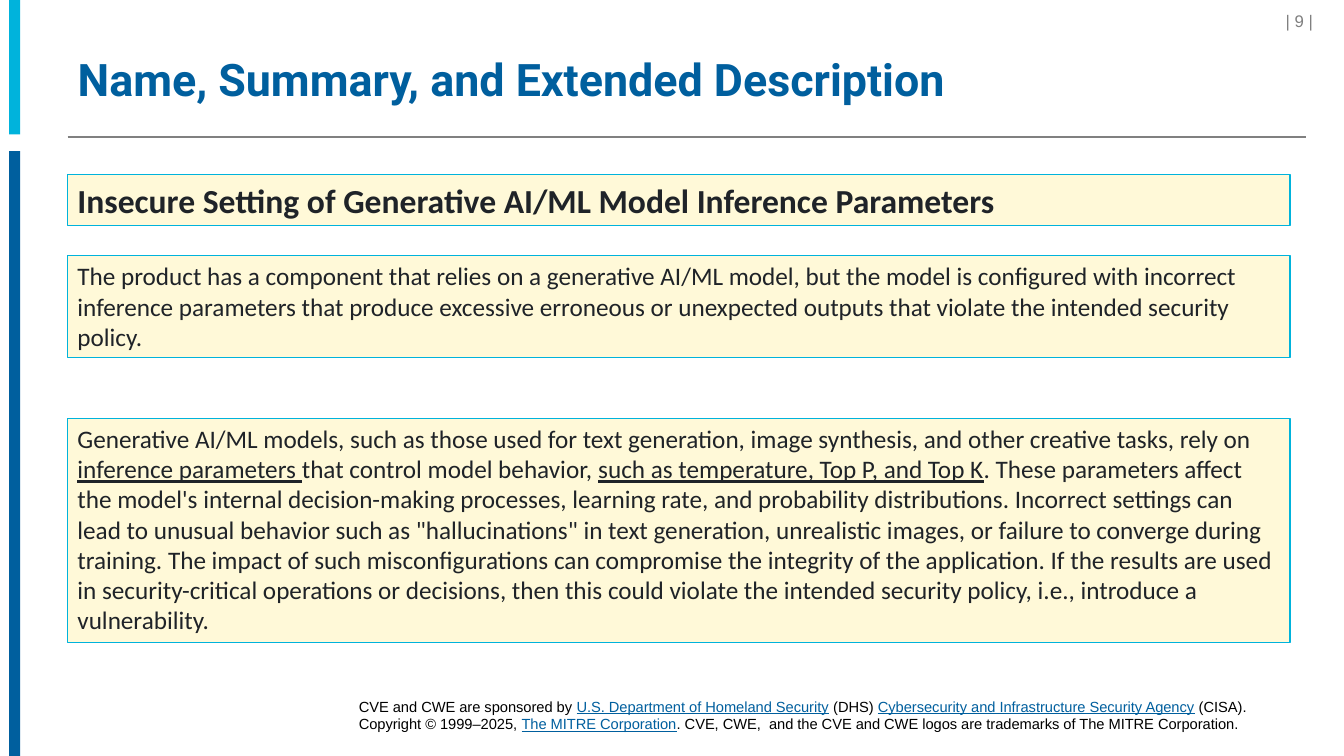
from pptx import Presentation
from pptx.dml.color import RGBColor
from pptx.enum.shapes import MSO_CONNECTOR, MSO_SHAPE
from pptx.enum.text import MSO_ANCHOR, PP_ALIGN
from pptx.oxml.ns import qn
from pptx.util import Pt
from lxml.etree import SubElement


def color(code):
    return RGBColor.from_string(code)


class Page:
    blue = "005F9E"
    cyan = "00B3DC"
    cream = "FFF9D8"
    gray = "808080"
    ink = "1F2328"
    black = "000000"
    left = 48.25

    def __init__(self, deck):
        self.slide = deck.slides.add_slide(deck.slide_layouts[5])
        self.shapes = self.slide.shapes

    def style(self, para, size, face, tint, bold=False):
        font = para.font
        font.size = Pt(size)
        font.name = face
        font.bold = bold
        font.color.rgb = color(tint)

    def fill(self, para, parts, link=None):
        for index, words in enumerate(parts):
            run = para.add_run()
            run.text = words
            if index % 2:
                run.font.underline = True
                if link:
                    run.font.color.rgb = color(link)

    def rect(self, x, y, w, h, tint, edge=None):
        shape = self.shapes.add_shape(MSO_SHAPE.RECTANGLE, Pt(x), Pt(y), Pt(w), Pt(h))
        shape.shadow.inherit = False
        shape.fill.solid()
        shape.fill.fore_color.rgb = color(tint)
        if edge:
            shape.line.color.rgb = color(edge)
            shape.line.width = Pt(0.75)
        else:
            shape.line.fill.background()
        return shape

    def rule(self, x, y, end):
        line = self.shapes.add_connector(MSO_CONNECTOR.STRAIGHT, Pt(x), Pt(y), Pt(end), Pt(y))
        line.line.color.rgb = color(self.gray)
        line.line.width = Pt(1)
        SubElement(line._element.spPr, qn("a:effectLst"))

    def title(self, words):
        title = self.shapes.title
        title.left, title.top = Pt(self.left), Pt(28.8)
        title.width, title.height = Pt(885), Pt(59)
        frame = title.text_frame
        frame.text = words
        frame.word_wrap = True
        frame.vertical_anchor = MSO_ANCHOR.MIDDLE
        para = frame.paragraphs[0]
        para.alignment = PP_ALIGN.LEFT
        para.line_spacing = 0.9
        self.style(para, 32, "Roboto", self.blue, True)

    def panel(self, y, h, parts, size=18, bold=False):
        shape = self.rect(self.left, y, 873.25, h, self.cream, self.cyan)
        frame = shape.text_frame
        frame.word_wrap = True
        frame.vertical_anchor = MSO_ANCHOR.TOP
        para = frame.paragraphs[0]
        para.alignment = PP_ALIGN.LEFT
        self.style(para, size, "Calibri", self.ink, bold)
        self.fill(para, parts)

    def label(self, x, y, w, h, parts, size, tint, align=PP_ALIGN.LEFT, inset=7.2):
        box = self.shapes.add_textbox(Pt(x), Pt(y), Pt(w), Pt(h))
        frame = box.text_frame
        frame.word_wrap = True
        frame.margin_left = frame.margin_right = Pt(inset)
        frame.margin_top = frame.margin_bottom = Pt(3.6)
        para = frame.paragraphs[0]
        para.alignment = align
        self.style(para, size, "Arial", tint)
        self.fill(para, parts, self.blue)


def main():
    deck = Presentation()
    deck.slide_width, deck.slide_height = Pt(960), Pt(540)
    page = Page(deck)

    page.rect(6.5, 0, 8, 96, page.cyan)
    page.rect(6.5, 108, 8, 432, page.blue)
    page.rule(page.left, 98, 933.25)
    page.title("Name, Summary, and Extended Description")
    page.label(809.25, 4.3, 139, 20, ["| 9 | "], 12, page.gray, PP_ALIGN.RIGHT)

    page.panel(124.8, 36.25, [
        "Insecure Setting of Generative AI/ML Model Inference Parameters",
    ], 24, True)
    page.panel(182.6, 72.7, [
        "The product has a component that relies on a generative AI/ML model, "
        "but the model is configured with incorrect inference parameters that "
        "produce excessive erroneous or unexpected outputs that violate the "
        "intended security policy.",
    ])
    page.panel(298.8, 160, [
        "Generative AI/ML models, such as those used for text generation, image "
        "synthesis, and other creative tasks, rely on ",
        "inference parameters ",
        "that control model behavior, ",
        "such as temperature, Top P, and Top K",
        ". These parameters affect the model's internal decision-making processes, "
        "learning rate, and probability distributions. Incorrect settings can lead "
        "to unusual behavior such as \"hallucinations\" in text generation, "
        "unrealistic images, or failure to converge during training. The impact of "
        "such misconfigurations can compromise the integrity of the application. "
        "If the results are used in security-critical operations or decisions, then "
        "this could violate the intended security policy, i.e., introduce a "
        "vulnerability.",
    ])

    page.label(252.75, 494.6, 687, 32.4, [
        "CVE and CWE are sponsored by ",
        "U.S. Department of Homeland Security",
        " (DHS) ",
        "Cybersecurity and Infrastructure Security Agency",
        " (CISA). Copyright © 1999–2025, ",
        "The MITRE Corporation",
        ". CVE, CWE,  and the CVE and CWE logos are trademarks of The MITRE Corporation.",
    ], 10.5, page.black, inset=3.6)

    deck.save("out.pptx")


if __name__ == "__main__":
    main()
